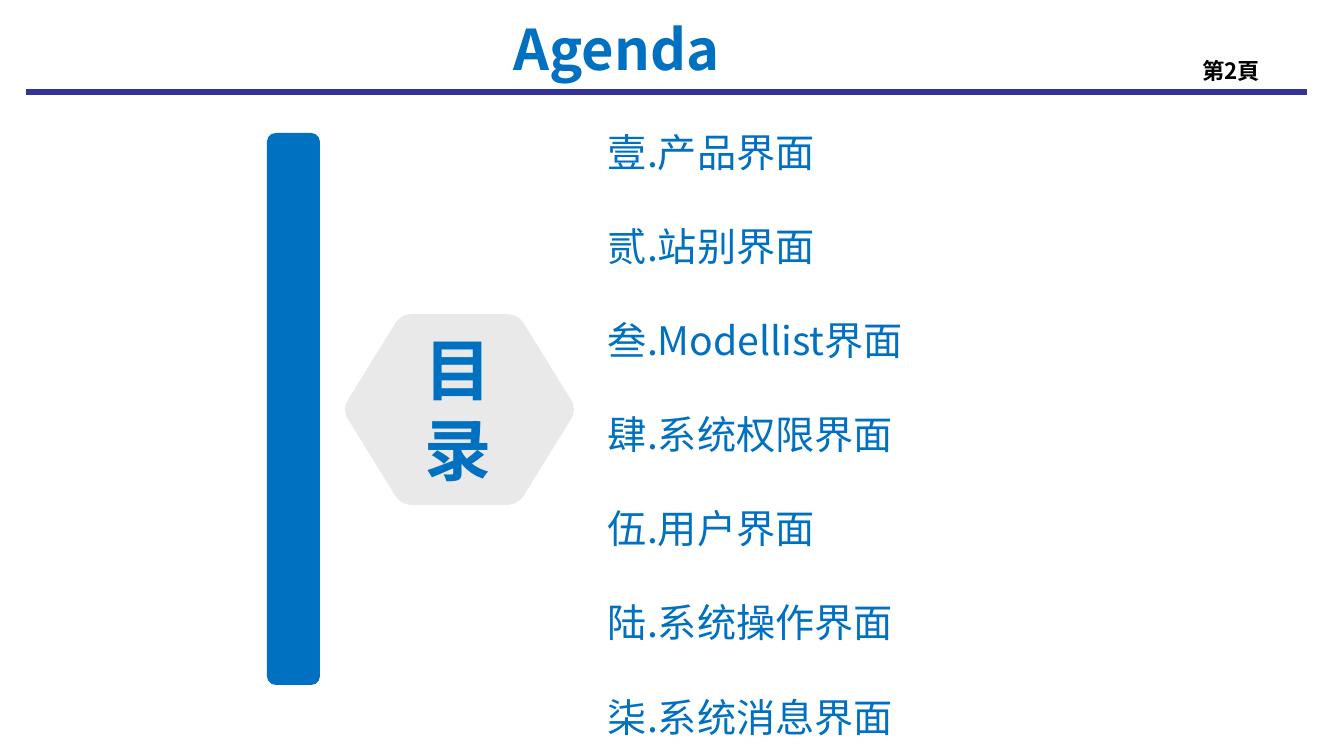
from math import dist

from lxml.etree import SubElement
from pptx import Presentation
from pptx.dml.color import RGBColor
from pptx.enum.shapes import MSO_CONNECTOR, MSO_SHAPE
from pptx.enum.text import MSO_AUTO_SIZE, PP_ALIGN
from pptx.oxml.ns import qn
from pptx.util import Pt

PX = 914400 / 100.8
COLORS = {"blue": "0070C0", "navy": "333399", "gray": "D9D9D9", "black": "000000"}
TITLE_FONT = "Noto Sans CJK TC"
LIST_FONT = "Noto Sans CJK SC"
TOPICS = ["产品界面", "站别界面", "Modellist界面", "系统权限界面",
          "用户界面", "系统操作界面", "系统消息界面"]


def emu(*lengths):
    """Turn pixel lengths into EMU."""
    return [round(length * PX) for length in lengths]


def color(name):
    """Look up a colour by name."""
    return RGBColor.from_string(COLORS[name])


def add_text(slide, box, text, *, size, font=TITLE_FONT, ink="blue", bold=False,
             align=PP_ALIGN.LEFT, inset=(13, 7), wrap=True, grow=True, spacing=None):
    """Add a text box with one paragraph per line of text and return its paragraphs."""
    frame = slide.shapes.add_textbox(*emu(*box)).text_frame
    frame.word_wrap = wrap
    frame.auto_size = MSO_AUTO_SIZE.SHAPE_TO_FIT_TEXT if grow else MSO_AUTO_SIZE.NONE
    side, end = emu(*inset)
    frame.margin_left = frame.margin_right = side
    frame.margin_top = frame.margin_bottom = end
    frame.text = text
    for paragraph in frame.paragraphs:
        paragraph.alignment = align
        paragraph.line_spacing = spacing
        for run in paragraph.runs:
            run.font.size = Pt(size)
            run.font.bold = bold
            run.font.name = font
            run.font.color.rgb = color(ink)
            SubElement(run.font._element, qn("a:ea"), typeface=font)
    return frame.paragraphs


def fill_plain(shape, name):
    """Give a shape a flat fill without line or shadow."""
    shape.shadow.inherit = False
    shape.fill.solid()
    shape.fill.fore_color.rgb = color(name)
    shape.line.fill.background()


def add_header(slide, left, top, width, height):
    """Place the title, the page number and the rule below them."""
    bottom = top + height
    rule = slide.shapes.add_connector(
        MSO_CONNECTOR.STRAIGHT, *emu(left, bottom, left + width, bottom))
    rule.line.color.rgb = color("navy")
    rule.line.width = Pt(4.5)
    SubElement(rule._element.spPr, qn("a:effectLst"))
    add_text(slide, (left + 80, top, 1021, 82), "Agenda", size=40, bold=True,
             align=PP_ALIGN.CENTER)
    add_text(slide, (left + width - 156, bottom - 40, 119, 40), "第2頁", size=16,
             ink="black", bold=True, align=PP_ALIGN.RIGHT, inset=(10, 5), grow=False)


def rounded_outline(corners, radius, steps=8):
    """Return the points of a polygon whose corners are rounded."""
    def toward(start, end):
        share = radius / dist(start, end)
        return [a + (b - a) * share for a, b in zip(start, end)]

    points = []
    for index, corner in enumerate(corners):
        enter = toward(corner, corners[index - 1])
        leave = toward(corner, corners[(index + 1) % len(corners)])
        for step in range(steps + 1):
            t = step / steps
            points.append([(1 - t) ** 2 * a + 2 * t * (1 - t) * b + t ** 2 * c
                           for a, b, c in zip(enter, corner, leave)])
    return points


def add_badge(slide, left, top, width, height):
    """Place the contents heading on its rounded hexagon."""
    shoulder = 59
    right, bottom, middle = left + width, top + height, top + height / 2
    corners = [(left, middle), (left + shoulder, top), (right - shoulder, top),
               (right, middle), (right - shoulder, bottom), (left + shoulder, bottom)]
    first, *rest = [emu(*point) for point in rounded_outline(corners, 12)]
    builder = slide.shapes.build_freeform(*first)
    builder.add_line_segments(rest, close=True)
    hexagon = builder.convert_to_shape()
    fill_plain(hexagon, "gray")
    tint = hexagon._element.spPr.find(qn("a:solidFill"))[0]
    SubElement(tint, qn("a:alpha"), val="56000")
    add_text(slide, (left + 69, top + 7, 95, 176), "目\n录", size=48, bold=True,
             align=PP_ALIGN.CENTER, wrap=False)


def add_bar(slide, left, top, width, height):
    """Place the upright rounded bar."""
    bar = slide.shapes.add_shape(
        MSO_SHAPE.ROUNDED_RECTANGLE, *emu(left, top, width, height))
    fill_plain(bar, "blue")


def add_topics(slide, *box):
    """Place the numbered list of topics."""
    indent, = emu(38)
    for topic in add_text(slide, box, "\n".join(TOPICS), size=28, font=LIST_FONT,
                          inset=(7, 4), spacing=2.0):
        properties = topic._p.get_or_add_pPr()
        properties.set("marL", str(indent))
        properties.set("indent", str(-indent))
        SubElement(properties, qn("a:buFont"), typeface="+mj-lt")
        SubElement(properties, qn("a:buAutoNum"), type="ea1ChsPeriod")


def add_agenda(presentation):
    """Add the agenda slide."""
    slide = presentation.slides.add_slide(presentation.slide_layouts[6])
    add_header(slide, 26, 8, 1281, 84)
    add_bar(slide, 267, 133, 53, 552)
    add_badge(slide, 342, 314, 235, 191)
    add_topics(slide, 601, 77, 610, 767)


presentation = Presentation()
presentation.slide_width, presentation.slide_height = emu(1344, 756)
add_agenda(presentation)
presentation.save("out.pptx")
